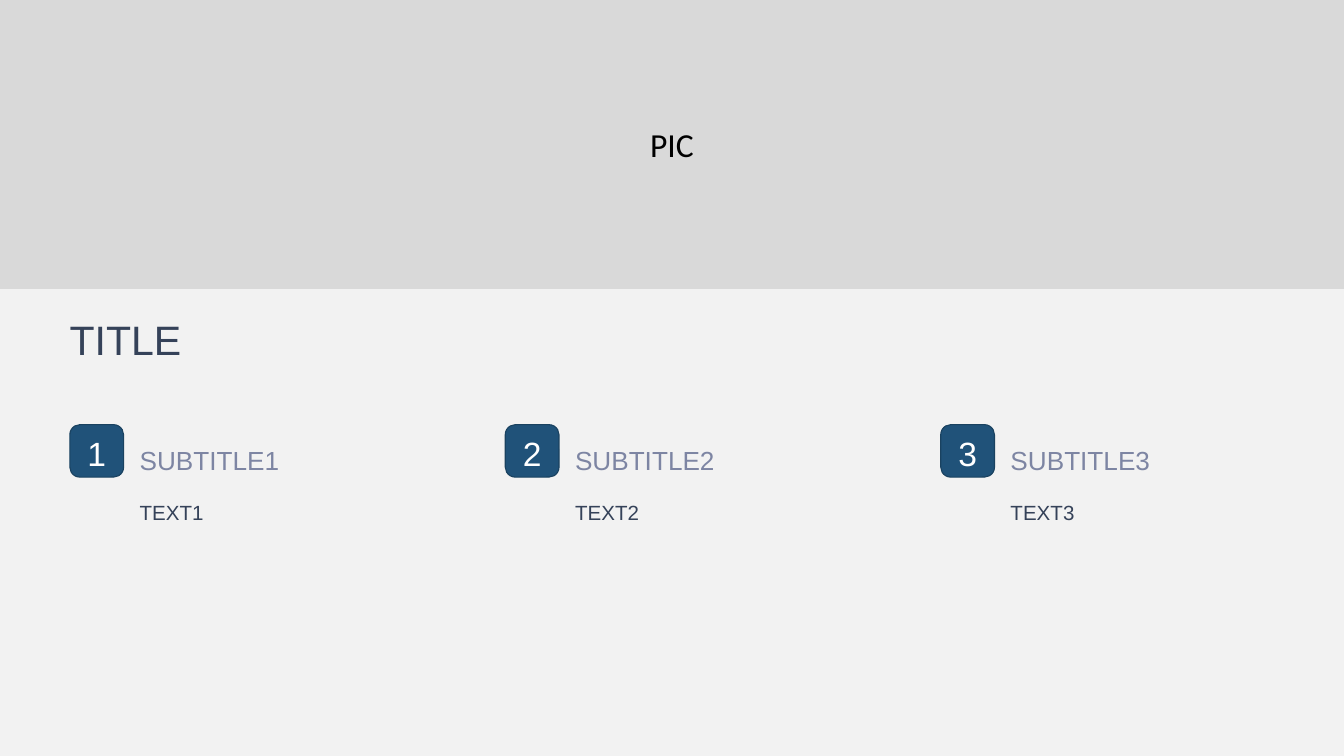
from pptx import Presentation
from pptx.dml.color import RGBColor
from pptx.enum.shapes import MSO_SHAPE as Shape
from pptx.enum.text import MSO_ANCHOR as Anchor, PP_ALIGN as Align
from pptx.util import Inches, Pt

PAPER = RGBColor(0xF2, 0xF2, 0xF2)
GRAY = RGBColor(0xD9, 0xD9, 0xD9)
NAVY = RGBColor(0x35, 0x42, 0x59)
LILAC = RGBColor(0x7D, 0x85, 0xA3)
BLUE = RGBColor(0x20, 0x52, 0x79)
EDGE = RGBColor(0x1A, 0x42, 0x60)
WHITE = RGBColor(0xFF, 0xFF, 0xFF)
BLACK = RGBColor(0x00, 0x00, 0x00)

prs = Presentation()
prs.slide_width = Inches(10)
prs.slide_height = Inches(10 * 9 / 16)
slide = prs.slides.add_slide(prs.slide_layouts[6])
slide.background.fill.solid()
slide.background.fill.fore_color.rgb = PAPER


def write(shape, text, size, color, font="Arial", align=Align.LEFT, anchor=Anchor.TOP):
    frame = shape.text_frame
    frame.word_wrap = True
    frame.vertical_anchor = anchor
    para = frame.paragraphs[0]
    para.alignment = align
    run = para.add_run()
    run.text = text
    run.font.size = Pt(size)
    run.font.name = font
    run.font.color.rgb = color


def add_box(kind, left, top, width, height, fill=None, round=0):
    """Add a text box, or a filled shape when a kind is given."""
    area = [Inches(n) for n in (left, top, width, height)]
    if kind is None:
        return slide.shapes.add_textbox(*area)
    shape = slide.shapes.add_shape(kind, *area)
    shape.adjustments[0] = round
    shape.shadow.inherit = False
    shape.fill.solid()
    shape.fill.fore_color.rgb = fill
    shape.line.fill.background()
    return shape


# Title
title = add_box(None, 0.42, 2.29, 9.26, 0.53)
write(title, "TITLE", 22, NAVY)

# Three numbered columns
for i, width in enumerate((2.58, 2.58, 2.51)):
    num = i + 1
    left = 0.52 + 3.24 * i

    head = add_box(None, left + 0.42, 2.81, width, 0.78)
    write(head, f"SUBTITLE{num}", 14, LILAC, anchor=Anchor.BOTTOM)

    body = add_box(None, left + 0.42, 3.67, width, 1.71)
    write(body, f"TEXT{num}", 11, NAVY)

    badge = add_box(Shape.ROUNDED_RECTANGLE, left, 3.16, 0.4, 0.39, BLUE, 0.19)
    badge.line.color.rgb = EDGE
    badge.line.width = Pt(0.6)

    digit = add_box(None, left, 3.17, 0.4, 0.4)
    write(digit, str(num), 18, WHITE, align=Align.CENTER)

# Banner
banner = add_box(Shape.ROUNDED_RECTANGLE, 0, 0, 10, 2.15, GRAY)
write(banner, "PIC", 18, BLACK, "Calibri", Align.CENTER, Anchor.MIDDLE)

prs.save("out.pptx")
